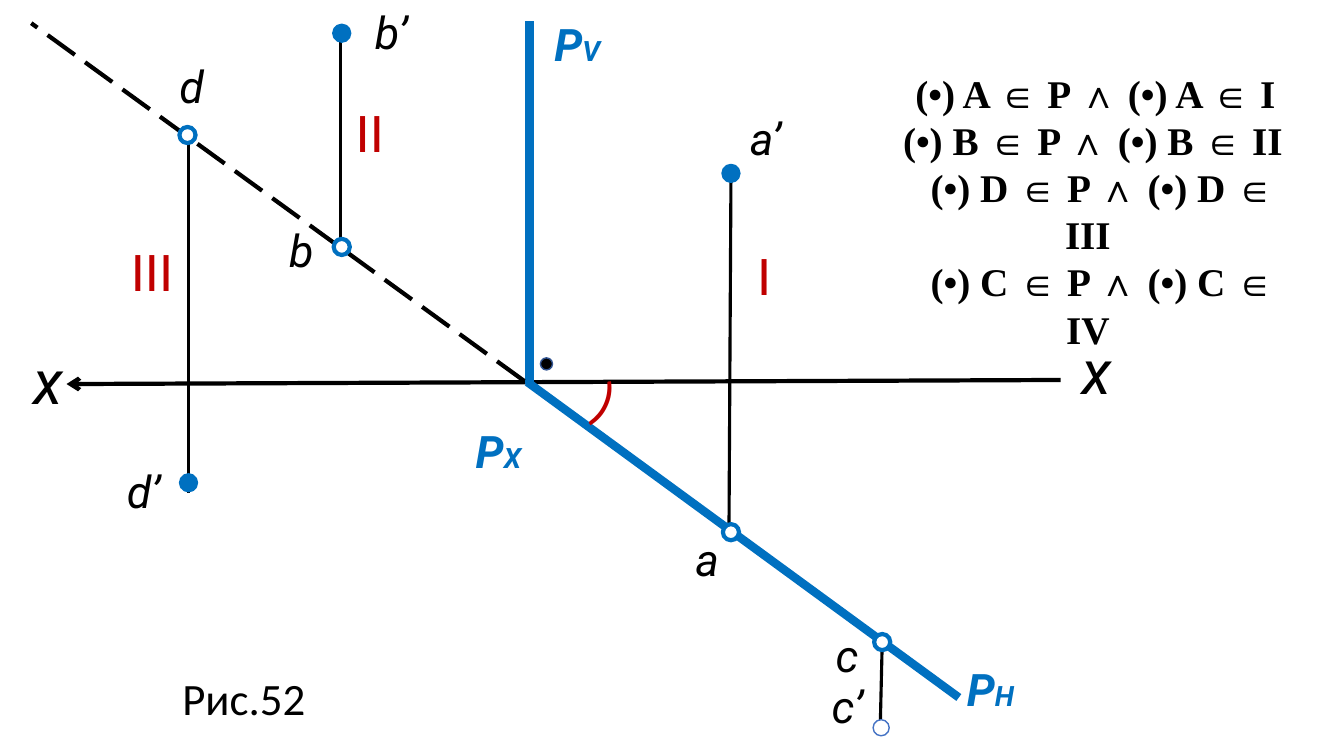
from lxml.etree import SubElement
from pptx import Presentation
from pptx.dml.color import RGBColor
from pptx.enum.dml import MSO_LINE
from pptx.enum.shapes import MSO_CONNECTOR, MSO_SHAPE
from pptx.enum.text import MSO_AUTO_SIZE, PP_ALIGN
from pptx.oxml.ns import qn
from pptx.util import Inches, Pt

# Content: places are columns and rows of a grid with one-inch cells
COLUMNS, ROWS = 13.33, 7.5

# start, end, line style
LINES = [
    ((0.66, 3.81), (10.52, 3.77), "axis"),
    ((7.23, 5.3), (7.25, 1.72), "link"),
    ((8.73, 7.23), (8.75, 6.37), "link"),
    ((3.38, 2.44), (3.38, 0.36), "link"),
    ((1.87, 4.89), (1.87, 1.31), "link"),
    ((5.23, 3.79), (9.51, 6.92), "trace"),
    ((5.25, 0.21), (5.25, 3.81), "trace"),
    ((5.2, 3.78), (0.31, 0.23), "hidden"),
]

# centre, dot style
DOTS = [
    ((7.25, 1.72), "front"), ((1.87, 4.79), "front"), ((3.39, 0.33), "front"),
    ((8.75, 6.37), "plan"), ((7.25, 5.28), "plan"),
    ((3.39, 2.45), "plan"), ((1.86, 1.34), "plan"),
    ((8.74, 7.22), "open"), ((5.42, 3.61), "right angle"),
]

# text, subscript, left, top, width, label style
LABELS = [
    ("x", "", 0.23, 3.35, 0.43, "axis"),
    ("x", "", 10.63, 3.25, 0.43, "axis"),
    ("a’", "", 7.34, 1.05, 0.6, "point"),
    ("a", "", 6.8, 5.23, 0.83, "point"),
    ("b’", "", 3.62, 0, 0.6, "point"),
    ("b", "", 2.77, 2.16, 0.6, "point"),
    ("c", "", 8.19, 6.18, 0.6, "point"),
    ("c’", "", 8.15, 6.68, 0.6, "point"),
    ("d", "", 1.68, 0.53, 0.6, "point"),
    ("d’", "", 1.16, 4.55, 0.6, "point"),
    ("P", "H", 9.49, 6.52, 0.89, "trace"),
    ("P", "V", 5.4, 0.12, 0.89, "trace"),
    ("P", "X", 4.62, 4.15, 0.89, "trace"),
    ("I", "", 7.41, 2.33, 0.35, "quadrant"),
    ("II", "", 3.43, 0.91, 0.5, "quadrant"),
    ("III", "", 1.2, 2.29, 0.65, "quadrant"),
    ("(", "", 5.77, 3.68, 0.38, "angle"),
    ("Рис.52", "", 1.71, 6.61, 1.43, "caption"),
]

# text, alignment, first-line indent
FORMULAS = [
    ("(•) A ∈ P ∧ (•) A ∈ I", PP_ALIGN.JUSTIFY, 0.39),
    ("(•) B ∈ P ∧ (•) B ∈ II", PP_ALIGN.CENTER, 0.1),
    ("(•) D ∈ P ∧ (•) D ∈ III", PP_ALIGN.CENTER, 0.29),
    ("(•) C ∈ P ∧ (•) C ∈ IV", PP_ALIGN.CENTER, 0.29),
]
FORMULA_PLACE = (8.59, 0.64, 4.4, 1.99)


class Theme:
    black, white, blue, red = "000000", "FFFFFF", "0070C0", "C00000"
    navy, soft_blue = "325491", "4472C4"
    subscript = 20
    lines = {  # colour, width, dash
        "axis": (black, 3, None),
        "link": (black, 2.25, None),
        "trace": (blue, 6, None),
        "hidden": (black, 3, MSO_LINE.LONG_DASH),
    }
    dots = {  # diameter, fill, outline, outline width
        "front": (0.16, blue, blue, 2.25),
        "plan": (0.16, white, blue, 3),
        "open": (0.16, white, soft_blue, 1),
        "right angle": (0.12, black, navy, 1),
    }
    labels = {  # font format, colour, box height, wrap, rotation
        "axis": ({"name": "Roboto", "size": Pt(44), "italic": True},
                 black, 0.84, True, 0),
        "point": ({"name": "Roboto", "size": Pt(32), "italic": True},
                  black, 0.64, True, 0),
        "trace": ({"name": "Roboto", "size": Pt(32), "italic": True, "bold": True},
                  blue, 0.64, True, 0),
        "quadrant": ({"name": "Calibri", "size": Pt(40)}, red, 0.77, False, 0),
        "angle": ({"name": "Calibri", "size": Pt(40)}, red, 0.77, False, 204.9),
        "caption": ({"name": "Calibri", "size": Pt(32)}, black, 0.64, False, 0),
    }
    formula = {"name": "Times New Roman", "size": Pt(28), "bold": True}


def colour(code):
    return RGBColor.from_string(code)


def add_line(page, start, end, style):
    line_colour, width, dash = Theme.lines[style]
    ends = [Inches(value) for value in (*start, *end)]
    line = page.shapes.add_connector(MSO_CONNECTOR.STRAIGHT, *ends)
    line.line.color.rgb = colour(line_colour)
    line.line.width = Pt(width)
    if dash:
        line.line.dash_style = dash
    if style == "axis":
        SubElement(line.line._get_or_add_ln(), qn("a:headEnd"), type="arrow")
    SubElement(line._element.spPr, qn("a:effectLst"))


def add_dot(page, centre, style):
    diameter, fill, outline, width = Theme.dots[style]
    left, top = (Inches(value - diameter / 2) for value in centre)
    dot = page.shapes.add_shape(MSO_SHAPE.OVAL, left, top,
                                Inches(diameter), Inches(diameter))
    dot.shadow.inherit = False
    dot.fill.solid()
    dot.fill.fore_color.rgb = colour(fill)
    dot.line.color.rgb = colour(outline)
    dot.line.width = Pt(width)


def add_box(page, place, wrap=True):
    box = page.shapes.add_textbox(*[Inches(value) for value in place])
    box.text_frame.word_wrap = wrap
    box.text_frame.auto_size = MSO_AUTO_SIZE.SHAPE_TO_FIT_TEXT
    return box


def add_span(para, text, font_format, text_colour):
    span = para.add_run()
    span.text = text
    for name, value in font_format.items():
        setattr(span.font, name, value)
    span.font.color.rgb = colour(text_colour)


def add_label(page, text, subscript, left, top, width, style):
    font_format, text_colour, height, wrap, rotation = Theme.labels[style]
    box = add_box(page, (left, top, width, height), wrap)
    box.rotation = rotation
    para = box.text_frame.paragraphs[0]
    add_span(para, text, font_format, text_colour)
    if subscript:
        small = {**font_format, "size": Pt(Theme.subscript)}
        add_span(para, subscript, small, text_colour)


def add_formulas(page):
    frame = add_box(page, FORMULA_PLACE).text_frame
    for index, (text, alignment, indent) in enumerate(FORMULAS):
        para = frame.add_paragraph() if index else frame.paragraphs[0]
        para.alignment = alignment
        para._p.get_or_add_pPr().set("indent", str(Inches(indent)))
        add_span(para, text, Theme.formula, Theme.black)


def main():
    deck = Presentation()
    deck.slide_width, deck.slide_height = Inches(COLUMNS), Inches(ROWS)
    page = deck.slides.add_slide(deck.slide_layouts[6])

    # Drawing from back to front, then the text
    for line in LINES:
        add_line(page, *line)
    for dot in DOTS:
        add_dot(page, *dot)
    for label in LABELS:
        add_label(page, *label)
    add_formulas(page)

    deck.save("out.pptx")


if __name__ == "__main__":
    main()
